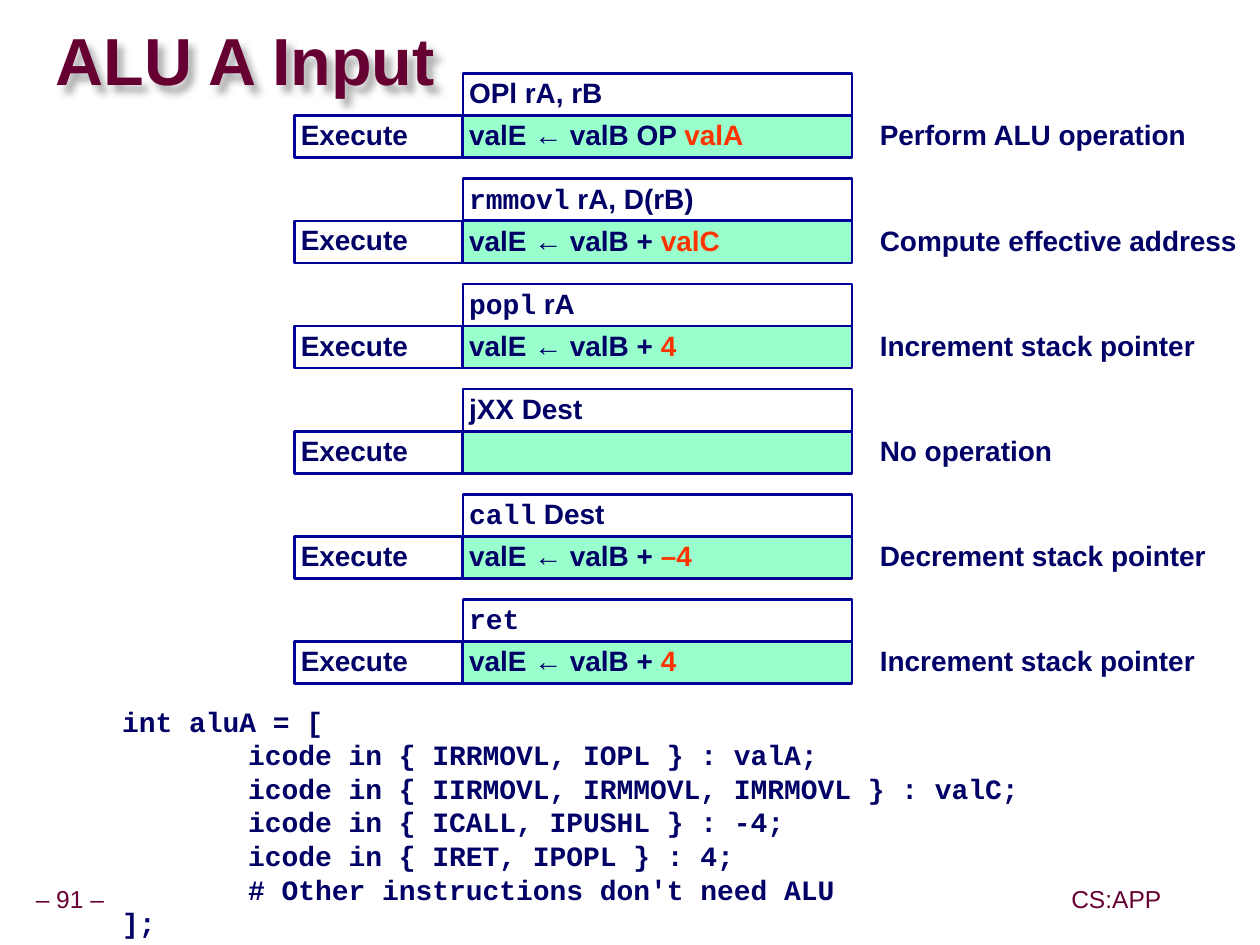
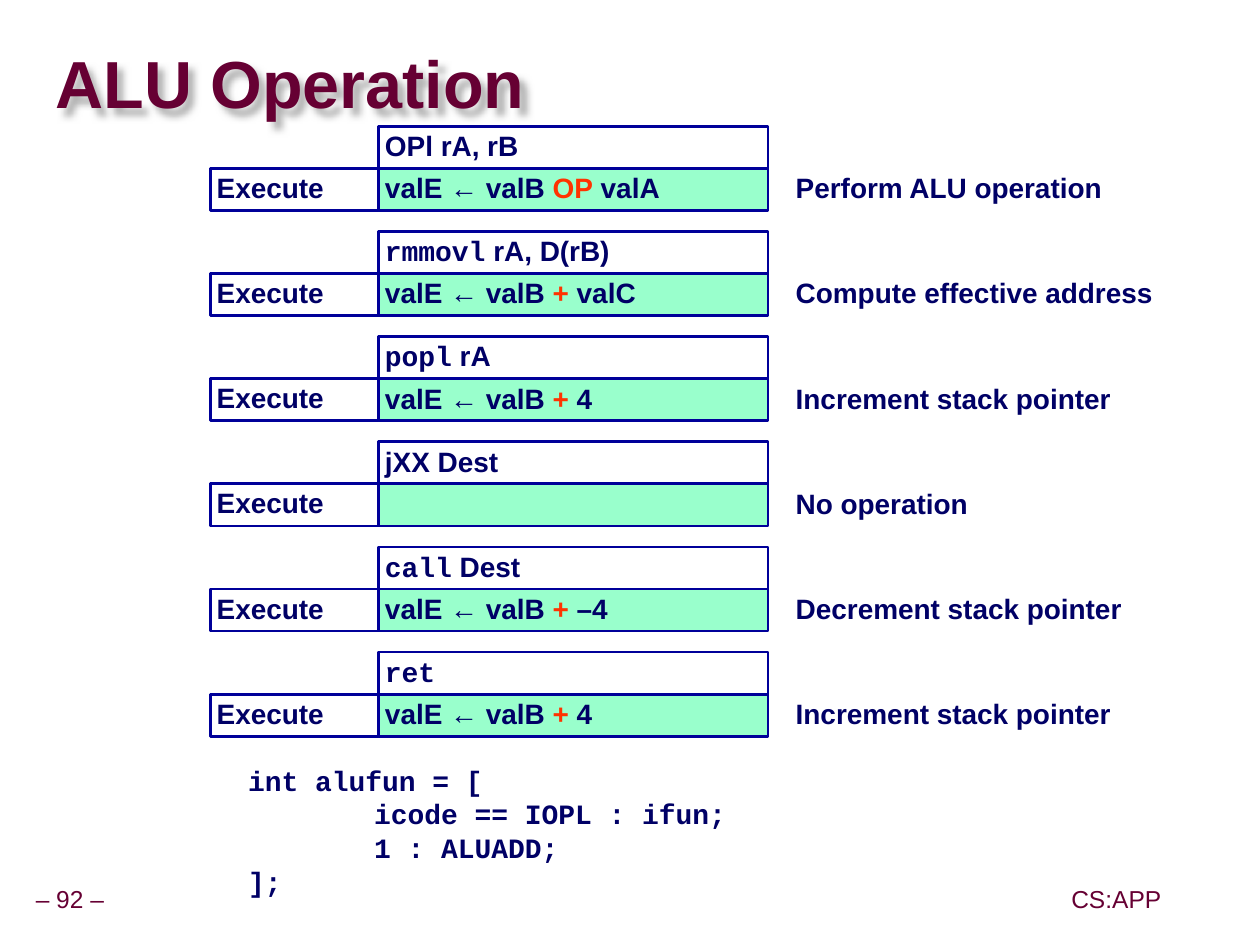
from lxml import etree
from pptx import Presentation
from pptx.dml.color import RGBColor
from pptx.enum.shapes import MSO_SHAPE
from pptx.enum.text import MSO_ANCHOR, PP_ALIGN
from pptx.oxml.ns import qn
from pptx.util import Inches, Pt

RECT = MSO_SHAPE.RECTANGLE
TOP, MID = MSO_ANCHOR.TOP, MSO_ANCHOR.MIDDLE
LEFT, MIDST = PP_ALIGN.LEFT, PP_ALIGN.CENTER
SANS, MONO = "Arial", "Courier New"
WINE, NAVY, EDGE = "660033", "000066", "000099"
MINT, RED, GREY = "99FFCC", "FF3300", "B2B2B2"
WIDE, HIGH = 10, 7.5
ROW = HIGH / 22.46
STEP = 2.5 * ROW
NAME, CELL, NOTE = 4 * ROW, 3.09, 3.26


def hue(code):
    return RGBColor.from_string(code)


def put(page, at, lines, size=16, bold=True, lead=0.9, pad=0.05,
        anchor=TOP, align=LEFT, wrap=True, edge=None, fill=None):
    area = [Inches(v) for v in at]
    if edge:
        box = page.shapes.add_shape(RECT, *area)
        box.shadow.inherit = False
        box.line.color.rgb = hue(edge)
        box.line.width = Pt(1.5)
        if fill:
            box.fill.solid()
            box.fill.fore_color.rgb = hue(fill)
        else:
            box.fill.background()
    else:
        box = page.shapes.add_textbox(*area)
    frame = box.text_frame
    frame.word_wrap = wrap
    frame.vertical_anchor = anchor
    frame.margin_left = frame.margin_right = Inches(pad)
    frame.margin_top = frame.margin_bottom = Inches(pad)
    for i, parts in enumerate(lines):
        para = frame.add_paragraph() if i else frame.paragraphs[0]
        para.alignment = align
        para.line_spacing = lead
        for text, face, tone in parts:
            run = para.add_run()
            run.text = text
            run.font.name = face
            run.font.size = Pt(size)
            run.font.bold = bold
            run.font.color.rgb = hue(tone)
    return box


steps = [
    ("", "OPl rA, rB", "OP", "valA", "Perform ALU operation"),
    ("rmmovl", " rA, D(rB)", "+", "valC", "Compute effective address"),
    ("popl", " rA", "+", "4", "Increment stack pointer"),
    ("", "jXX Dest", "", "", "No operation"),
    ("call", " Dest", "+", "–4", "Decrement stack pointer"),
    ("ret", "", "+", "4", "Increment stack pointer"),
]

pages = [
    {"title": "ALU A Input", "head": 0.09, "left": 7 * ROW, "top": 1.75 * ROW,
     "hot": "arg", "num": 91, "at": (0.92, 5.54, 8.76, 1.98),
     "code": ["int aluA = [",
              "\ticode in { IRRMOVL, IOPL } : valA;",
              "\ticode in { IIRMOVL, IRMMOVL, IMRMOVL } : valC;",
              "\ticode in { ICALL, IPUSHL } : -4;",
              "\ticode in { IRET, IPOPL } : 4;",
              "\t# Other instructions don't need ALU",
              "];"]},
    {"title": "ALU Operation", "head": 0.27, "left": 5 * ROW, "top": 3 * ROW,
     "hot": "op", "num": 92, "at": (1.92, 6.01, 6.26, 1.17),
     "code": ["int alufun = [",
              "\ticode == IOPL : ifun;",
              "\t1 : ALUADD;",
              "];"]},
]

deck = Presentation()
deck.slide_width, deck.slide_height = Inches(WIDE), Inches(HIGH)

for info in pages:
    page = deck.slides.add_slide(deck.slide_layouts[6])
    page.background.fill.solid()
    page.background.fill.fore_color.rgb = hue("FFFFFF")

    for at, text in [((0.22, 6.99, 0.67, 0.32), f"– {info['num']} –"),
                     ((8.45, 6.99, 0.82, 0.32), "CS:APP")]:
        put(page, at, [[(text, SANS, WINE)]], size=14, bold=False,
            anchor=MID, align=MIDST, wrap=False)

    title = put(page, (0.44, info["head"], 9.53, 0.85),
                [[(info["title"], SANS, WINE)]],
                size=38, lead=0.87, pad=0, anchor=MID)
    glow = etree.SubElement(title.element.spPr, qn("a:effectLst"))
    shade = etree.SubElement(glow, qn("a:outerShdw"), blurRad="50800",
                             dist="63500", dir="2700000", algn="ctr",
                             rotWithShape="0")
    etree.SubElement(shade, qn("a:srgbClr"), val=GREY)

    left = info["left"]
    mid = left + NAME
    for i, (code, rest, op, arg, note) in enumerate(steps):
        top = info["top"] + i * STEP
        low = top + ROW
        call = [(code, MONO, NAVY), (rest, SANS, NAVY)]
        if not op:
            work = []
        elif info["hot"] == "arg":
            work = [(f"valE ← valB {op} ", SANS, NAVY), (arg, SANS, RED)]
        else:
            work = [("valE ← valB ", SANS, NAVY), (op, SANS, RED),
                    (f" {arg}", SANS, NAVY)]
        put(page, (mid, low, CELL, ROW), [work], edge=EDGE, fill=MINT)
        put(page, (mid, top, CELL, ROW), [[p for p in call if p[0]]], edge=EDGE)
        put(page, (left, low, NAME, ROW), [[("Execute", SANS, NAVY)]],
            anchor=MID, edge=EDGE)
        put(page, (mid + NOTE, low, CELL, ROW), [[(note, SANS, NAVY)]])

    code = put(page, info["at"], [[(line, MONO, NAVY)] for line in info["code"]],
               lead=1.0)
    for para in code.element.iter(qn("a:pPr")):
        tabs = etree.SubElement(para, qn("a:tabLst"))
        etree.SubElement(tabs, qn("a:tab"), pos=str(Inches(1)), algn="l")

deck.save("out.pptx")
